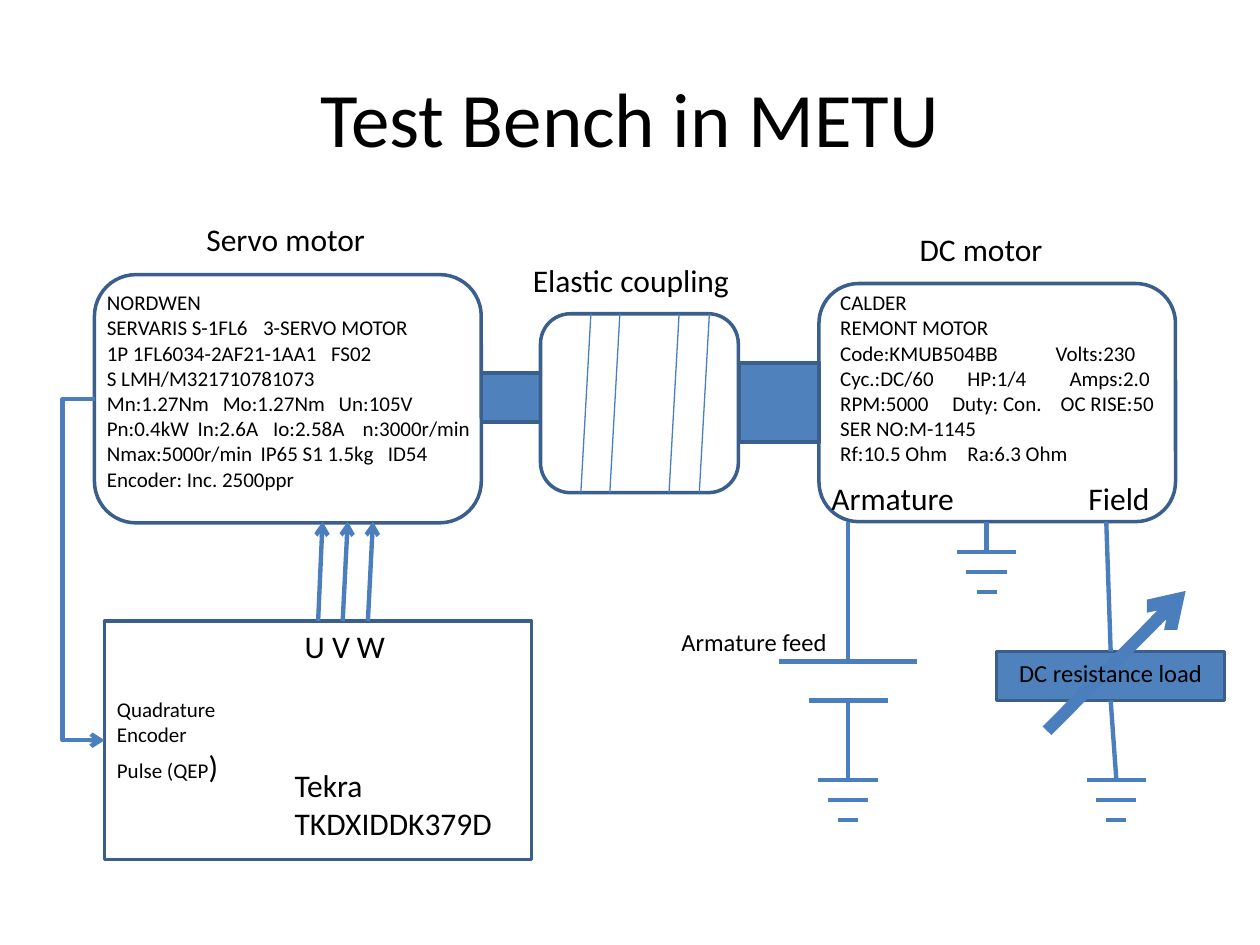
"""Build the test bench slide: servo motor, coupling, DC motor and drive board."""
from lxml.etree import SubElement
from pptx import Presentation
from pptx.dml.color import RGBColor
from pptx.enum.shapes import MSO_CONNECTOR as CONN, MSO_SHAPE as SHAPE
from pptx.enum.text import MSO_AUTO_SIZE as AUTO, PP_ALIGN
from pptx.oxml.ns import qn
from pptx.util import Inches, Pt

BLACK = RGBColor(0x00, 0x00, 0x00)
FILL = RGBColor(0x4F, 0x81, 0xBD)
OUTLINE = RGBColor(0x3A, 0x5F, 0x8C)
WIRE = RGBColor(0x4B, 0x7E, 0xBC)
FONT = "Calibri"

TITLE = "Test Bench in METU"
BOXES = {
    "servo": (SHAPE.ROUNDED_RECTANGLE, (0.75, 2.18, 3.07, 1.97), None),
    "dc": (SHAPE.ROUNDED_RECTANGLE, (6.5, 2.25, 2.83, 1.89), None),
    "board": (SHAPE.RECTANGLE, (0.83, 4.93, 3.39, 1.89), None),
    "load": (SHAPE.RECTANGLE, (7.91, 5.17, 1.81, 0.39), FILL),
    "servo shaft": (SHAPE.RECTANGLE, (3.82, 2.96, 0.47, 0.39), FILL),
    "dc shaft": (SHAPE.RECTANGLE, (5.87, 2.88, 0.63, 0.63), FILL),
    "coupling": (SHAPE.ROUNDED_RECTANGLE, (4.29, 2.49, 1.57, 1.42), None),
}
COUPLING_TOPS = (4.69, 4.92, 5.39, 5.63)
GROUNDS = ((6.73, 6.19), (7.83, 4.38), (8.86, 6.19))
GROUND_HALVES = (0.235, 0.16, 0.08)
GROUND_STEP = 0.16
PHASES, PHASE_LEFT, PHASE_STEP = 3, 2.52, 0.2
WIRES = [
    ((6.18, 5.25), (7.28, 5.25)),
    ((6.42, 5.56), (7.05, 5.56)),
    ((6.73, 5.56), (6.73, 6.19)),
    ((6.73, 5.25), (6.73, 4.14)),
    ((7.83, 4.38), (7.83, 4.14)),
]
LABELS = [
    ("Armature", (6.5, 3.75, 1.18, 0.4), 18),
    ("Field", (8.54, 3.75, 0.69, 0.4), 18),
    ("U V W", (2.32, 4.93, 0.85, 0.4), 18),
    ("Tekra\nTKDXIDDK379D", (2.24, 6.03, 1.87, 0.71), 18),
    ("Armature feed", (5.31, 4.93, 1.37, 0.34), 14),
    ("DC resistance load", (7.99, 5.17, 1.67, 0.34), 14),
    ("DC motor", (7.2, 1.78, 1.19, 0.4), 18),
    ("Servo motor", (1.54, 1.7, 1.47, 0.4), 18),
    ("Elastic coupling", (4.13, 2.02, 1.78, 0.4), 18),
]
QEP = ("Quadrature\nEncoder\nPulse (QEP", (0.83, 5.48, 1.03, 0.81), 12)
PLATES = [
    ((6.57, 2.25, 2.76, 1.51), [
        ("CALDER", ()),
        ("REMONT MOTOR", ()),
        ("Code:KMUB504BB\tVolts:230", (1.71,)),
        ("Cyc.:DC/60\tHP:1/4\tAmps:2.0", (1.01, 1.82)),
        ("RPM:5000\tDuty: Con.\tOC RISE:50", (0.89, 1.75)),
        ("SER NO:M-1145", ()),
        ("Rf:10.5 Ohm\tRa:6.3 Ohm", (1.01,)),
    ]),
    ((0.75, 2.25, 3.13, 1.72), [
        ("NORDWEN", ()),
        ("SERVARIS S-1FL6\t3-SERVO MOTOR", (1.24,)),
        ("1P 1FL6034-2AF21-1AA1\tFS02", (1.78,)),
        ("S LMH/M321710781073", ()),
        ("Mn:1.27Nm\tMo:1.27Nm\tUn:105V", (0.92, 1.84)),
        ("Pn:0.4kW\tIn:2.6A\tIo:2.58A\tn:3000r/min", (0.72, 1.32, 2.03)),
        ("Nmax:5000r/min\tIP65 S1 1.5kg\tID54", (1.22, 2.23)),
        ("Encoder: Inc. 2500ppr", ()),
    ]),
]


def style(run, size):
    run.font.name, run.font.size = FONT, Pt(size)
    run.font.color.rgb = BLACK


def add_box(shapes, kind, at, fill):
    sp = shapes.add_shape(kind, *map(Inches, at))
    sp.shadow.inherit = False
    if fill is None:
        sp.fill.background()
    else:
        sp.fill.solid()
        sp.fill.fore_color.rgb = fill
    sp.line.color.rgb, sp.line.width = OUTLINE, Pt(2)
    return sp


def add_wire(shapes, start, end, width=2.5, arrow=False, kind=CONN.STRAIGHT):
    wire = shapes.add_connector(kind, *map(Inches, (*start, *end)))
    wire.line.color.rgb, wire.line.width = WIRE, Pt(width)
    if arrow:
        SubElement(wire.line._get_or_add_ln(), qn("a:tailEnd"), type="arrow")
    SubElement(wire._element.spPr, qn("a:effectLst"))
    return wire


def add_text(shapes, text, at, size, wrap=False):
    tf = shapes.add_textbox(*map(Inches, at)).text_frame
    tf.word_wrap, tf.auto_size = wrap, AUTO.SHAPE_TO_FIT_TEXT
    tf.text = text
    for p in tf.paragraphs:
        for r in p.runs:
            style(r, size)
    return tf


def add_plate(shapes, at, rows):
    tf = add_text(shapes, "\n".join(text for text, _ in rows), at, 12, True)
    for p, (_, stops) in zip(tf.paragraphs, rows):
        if stops:
            tabs = SubElement(p._p.get_or_add_pPr(), qn("a:tabLst"))
            for stop in stops:
                SubElement(tabs, qn("a:tab"), pos=str(Inches(stop)), algn="l")


def main():
    prs = Presentation()
    prs.slide_width, prs.slide_height = Inches(10), Inches(7.5)
    shapes = prs.slides.add_slide(prs.slide_layouts[5]).shapes

    title = shapes.title
    title.left, title.top, title.width, title.height = map(Inches, (0.5, 0.3, 9, 1.25))
    title.text_frame.text = TITLE
    title.text_frame.paragraphs[0].alignment = PP_ALIGN.CENTER
    style(title.text_frame.paragraphs[0].runs[0], 44)

    box = {name: add_box(shapes, *spec) for name, spec in BOXES.items()}
    add_wire(shapes, (8.31, 5.8), (9.41, 4.69), 7, True)
    for x in COUPLING_TOPS:
        add_wire(shapes, (x, 2.49), (x - 0.08, 3.91), 0.75)

    for i in range(PHASES):
        x = PHASE_LEFT + i * PHASE_STEP
        phase = add_wire(shapes, (x, 4.93), (x + 0.04, 4.14), arrow=True)
        if i == 0:
            phase.begin_connect(box["board"], 0)

    encoder = add_wire(shapes, (0.75, 3.16), (0.83, 5.88), arrow=True, kind=CONN.ELBOW)
    encoder.begin_connect(box["servo"], 1)
    encoder.end_connect(box["board"], 1)
    guides = encoder._element.spPr.find(qn("a:prstGeom")).get_or_add_avLst()
    SubElement(guides, qn("a:gd"), name="adj1", fmla="val -317500")

    for start, end in WIRES:
        add_wire(shapes, start, end)
    for x, top in GROUNDS:
        for i, half in enumerate(GROUND_HALVES):
            y = top + i * GROUND_STEP
            add_wire(shapes, (x - half, y), (x + half, y))
    add_wire(shapes, (8.86, 6.19), (8.82, 5.56)).end_connect(box["load"], 2)
    add_wire(shapes, (8.82, 5.17), (8.78, 4.14)).begin_connect(box["load"], 0)

    for label in LABELS:
        add_text(shapes, *label)
    for plate in PLATES:
        add_plate(shapes, *plate)
    bracket = add_text(shapes, *QEP).paragraphs[-1].add_run()
    bracket.text = ")"
    style(bracket, 18)

    prs.save("out.pptx")


if __name__ == "__main__":
    main()
